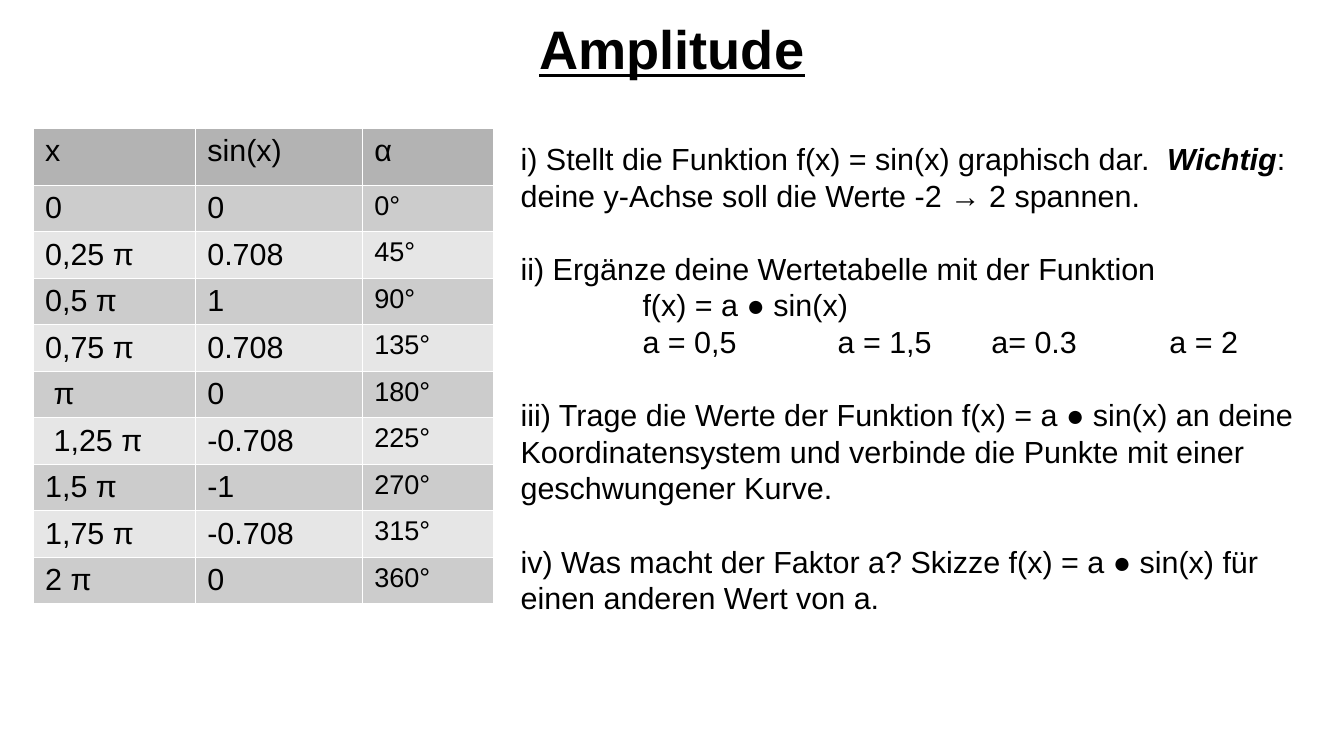
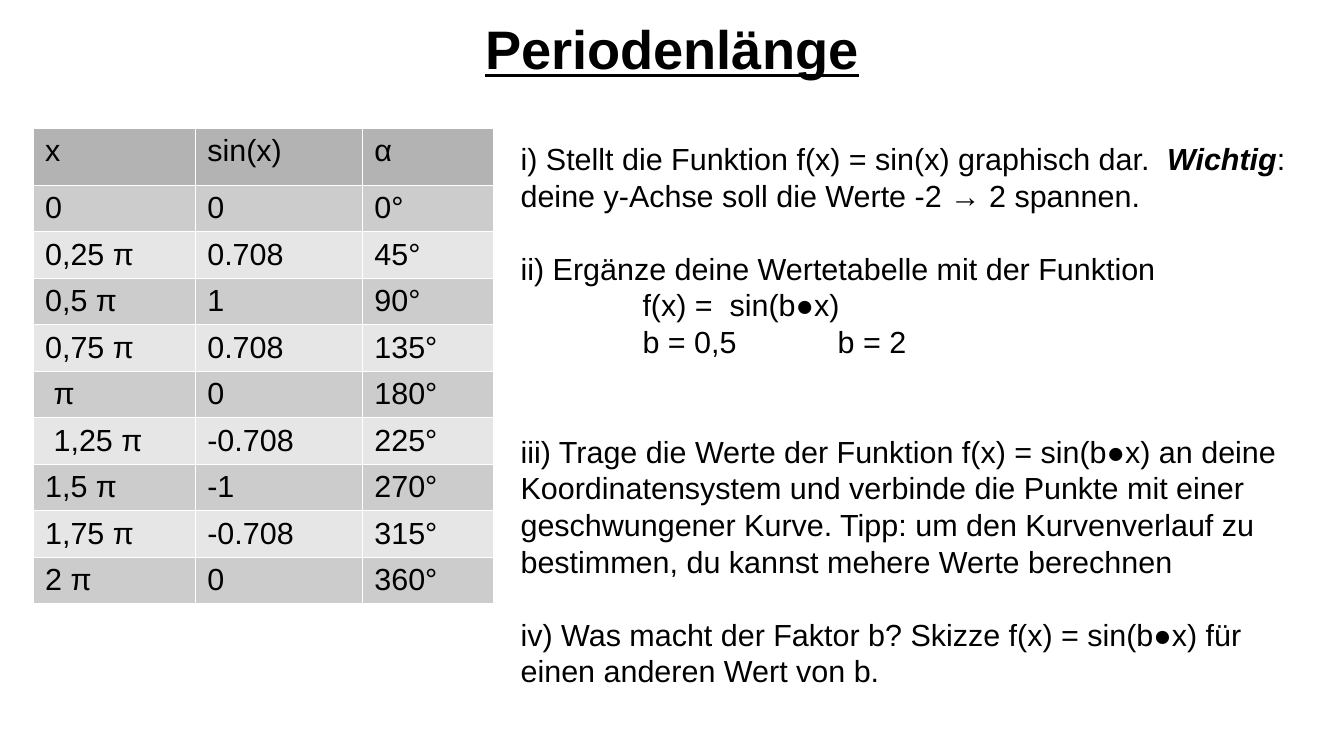
from dataclasses import dataclass

import pptx
import pptx.dml.color
import pptx.enum.text
import pptx.oxml
import pptx.oxml.ns
import pptx.util

COLORS = {
    "ink": "000000",
    "paper": "FFFFFF",
    "header": "B3B3B3",
    "odd": "CCCCCC",
    "even": "E6E6E6",
}
FONT = "Arial"
WIDTH, HEIGHT = pptx.util.Inches(11.02), pptx.util.Inches(6.2)
TITLE_AREA = (5, 1.29, 90, 10.16)
TABLE_AREA = (2.45, 16.94, 34.21, 62.9)
COLUMN_SHARES = (12.07, 12.43, 9.71)
HEADER_SHARE = 7.5
CELL_BOTTOM_MARGIN = 0.03
TASK_LEFT, TASK_TOP, TASK_WIDTH = 37.84, 17.74, 61.43
TAB_STOPS = (1, 2.6, 3.86, 5.32)
BLANK_LINE = 21.6
HEADINGS = ("x", "sin(x)", "α")
VALUES = (
    ("0", "0"),
    ("0,25 π", "0.708"),
    ("0,5 π", "1"),
    ("0,75 π", "0.708"),
    (" π", "0"),
    (" 1,25 π", "-0.708"),
    ("1,5 π", "-1"),
    ("1,75 π", "-0.708"),
    ("2 π", "0"),
)


@dataclass(frozen=True)
class Task:
    text: str
    lines_before: int = 0
    emphasis: str = ""
    rest: str = ""


@dataclass(frozen=True)
class Lesson:
    title: str
    factor: str
    term: str
    equation: str
    choices: tuple[str, ...]
    tasks_height: float
    angle_size: int = 18
    gap_after_choices: int = 1
    hint: str = ""

    def tasks(self) -> list[Task]:
        return [
            Task("i) Stellt die Funktion f(x) = sin(x) graphisch dar.  ",
                 emphasis="Wichtig",
                 rest=": deine y-Achse soll die Werte -2 → 2 spannen."),
            Task("ii) Ergänze deine Wertetabelle mit der Funktion", 1),
            Task("\t" + self.equation),
            Task("".join("\t" + choice for choice in self.choices)),
            Task(f"iii) Trage die Werte der Funktion f(x) = {self.term} an deine "
                 "Koordinatensystem und verbinde die Punkte mit einer "
                 f"geschwungener Kurve.{self.hint}", self.gap_after_choices),
            Task(f"iv) Was macht der Faktor {self.factor}? Skizze f(x) = {self.term} "
                 f"für einen anderen Wert von {self.factor}.", 1),
        ]


LESSONS = (
    Lesson("Amplitude", "a", "a ● sin(x)", "f(x) = a ● sin(x)",
           ("a = 0,5", "a = 1,5", "a= 0.3", "a = 2"), 60.32, angle_size=16),
    Lesson("Periodenlänge", "b", "sin(b●x)", "f(x) =  sin(b●x)",
           ("b = 0,5", "b = 2"), 69.35, gap_after_choices=2,
           hint=" Tipp: um den Kurvenverlauf zu bestimmen, "
                "du kannst mehere Werte berechnen"),
)


def across(share: float) -> int:
    return round(WIDTH * share / 100)


def down(share: float) -> int:
    return round(HEIGHT * share / 100)


def area(left: float, top: float, width: float, height: float) -> tuple[int, ...]:
    return across(left), down(top), across(width), down(height)


def rgb(name: str) -> pptx.dml.color.RGBColor:
    return pptx.dml.color.RGBColor.from_string(COLORS[name])


def write(paragraph, text: str, *, size: float = 18, bold: bool = False,
          italic: bool = False, underline: bool = False) -> None:
    run = paragraph.add_run()
    run.text = text
    run.font.name = FONT
    run.font.size = pptx.util.Pt(size)
    run.font.bold = bold
    run.font.italic = italic
    run.font.underline = underline
    run.font.color.rgb = rgb("ink")


def add_title(slide, text: str) -> None:
    title = slide.shapes.title
    title.left, title.top, title.width, title.height = area(*TITLE_AREA)
    frame = title.text_frame
    frame.margin_left = frame.margin_right = 0
    frame.margin_top = frame.margin_bottom = 0
    frame.word_wrap = True
    frame.auto_size = pptx.enum.text.MSO_AUTO_SIZE.SHAPE_TO_FIT_TEXT
    frame.vertical_anchor = pptx.enum.text.MSO_ANCHOR.MIDDLE
    heading = frame.paragraphs[0]
    heading.alignment = pptx.enum.text.PP_ALIGN.CENTER
    write(heading, text, size=32, bold=True, underline=True)


def outline_cell(cell) -> None:
    properties = cell._tc.get_or_add_tcPr()
    for side in ("lnL", "lnR", "lnT", "lnB"):
        properties.append(pptx.oxml.parse_xml(
            f'<a:{side} {pptx.oxml.ns.nsdecls("a")} w="720"><a:solidFill>'
            f'<a:srgbClr val="{COLORS["paper"]}"/></a:solidFill></a:{side}>'))


def fill_cell(cell, text: str, color: str, size: float) -> None:
    outline_cell(cell)
    cell.margin_bottom = pptx.util.Inches(CELL_BOTTOM_MARGIN)
    cell.fill.solid()
    cell.fill.fore_color.rgb = rgb(color)
    write(cell.text_frame.paragraphs[0], text, size=size)


def add_value_table(slide, angle_size: int) -> None:
    rows = [HEADINGS] + [
        (x, sine, f"{45 * step}°") for step, (x, sine) in enumerate(VALUES)]
    table = slide.shapes.add_table(
        len(rows), len(HEADINGS), *area(*TABLE_AREA)).table
    table.first_row = table.horz_banding = False
    for column, share in zip(table.columns, COLUMN_SHARES):
        column.width = across(share)
    value_share = (TABLE_AREA[3] - HEADER_SHARE) / len(VALUES)
    for index, texts in enumerate(rows):
        table.rows[index].height = down(value_share if index else HEADER_SHARE)
        color = ("odd" if index % 2 else "even") if index else "header"
        for column, text in enumerate(texts):
            is_angle = index > 0 and column == 2
            fill_cell(table.cell(index, column), text, color,
                      angle_size if is_angle else 18)


def add_tab_stops(paragraph) -> None:
    stops = "".join(f'<a:tab pos="{pptx.util.Inches(stop)}" algn="l"/>'
                    for stop in TAB_STOPS)
    paragraph._p.get_or_add_pPr().append(pptx.oxml.parse_xml(
        f'<a:tabLst {pptx.oxml.ns.nsdecls("a")}>{stops}</a:tabLst>'))


def add_tasks(slide, lesson: Lesson) -> None:
    frame = slide.shapes.add_textbox(*area(
        TASK_LEFT, TASK_TOP, TASK_WIDTH, lesson.tasks_height)).text_frame
    frame.word_wrap = True
    frame.auto_size = pptx.enum.text.MSO_AUTO_SIZE.SHAPE_TO_FIT_TEXT
    for index, task in enumerate(lesson.tasks()):
        paragraph = frame.add_paragraph() if index else frame.paragraphs[0]
        if task.text.startswith("\t"):
            add_tab_stops(paragraph)
        if task.lines_before:
            paragraph.space_before = pptx.util.Pt(BLANK_LINE * task.lines_before)
        write(paragraph, task.text)
        if task.emphasis:
            write(paragraph, task.emphasis, bold=True, italic=True)
            write(paragraph, task.rest)


def main() -> None:
    deck = pptx.Presentation()
    deck.slide_width, deck.slide_height = WIDTH, HEIGHT
    title_only = deck.slide_layouts[5]
    for lesson in LESSONS:
        slide = deck.slides.add_slide(title_only)
        add_title(slide, lesson.title)
        add_value_table(slide, lesson.angle_size)
        add_tasks(slide, lesson)
    deck.save("out.pptx")


if __name__ == "__main__":
    main()
